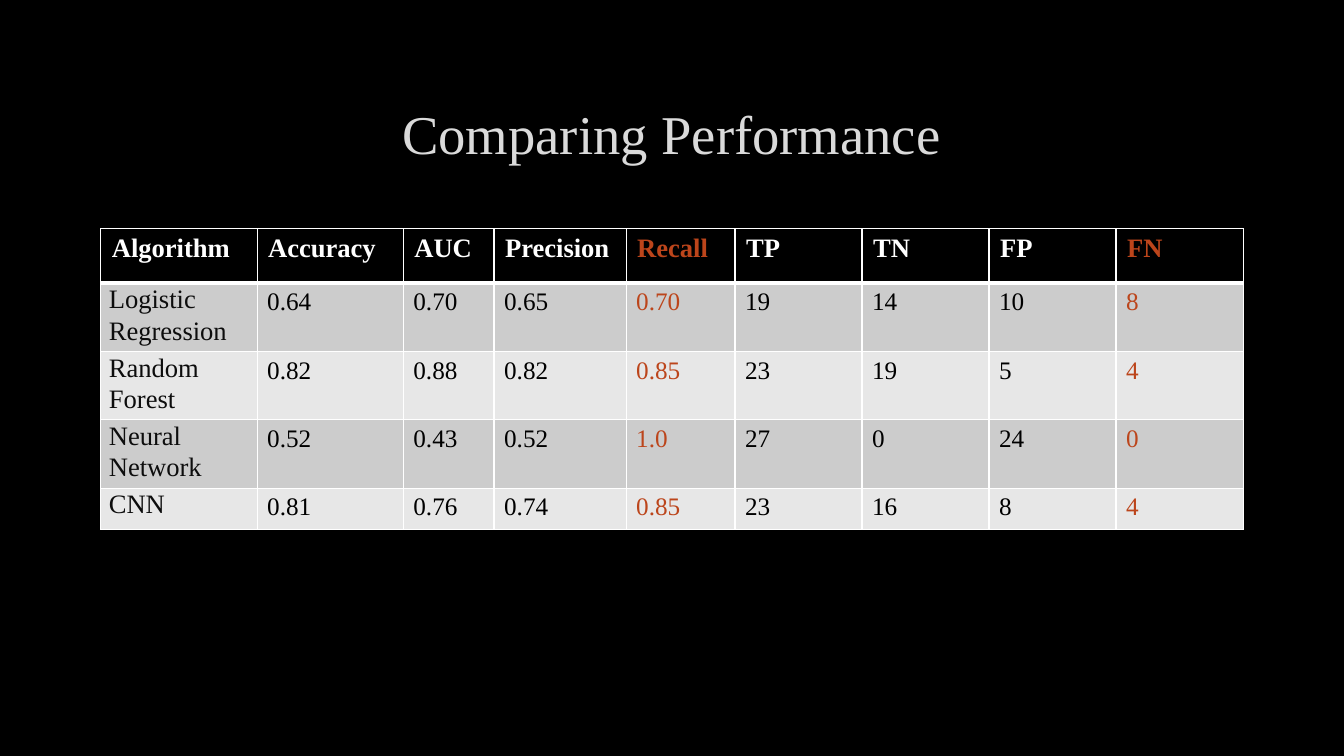
from dataclasses import dataclass

from lxml import etree
from pptx import Presentation
from pptx.dml.color import RGBColor
from pptx.enum.text import MSO_ANCHOR, PP_ALIGN
from pptx.oxml.ns import qn
from pptx.util import Inches, Pt

LEFT, CENTER, JUSTIFY = PP_ALIGN.LEFT, PP_ALIGN.CENTER, PP_ALIGN.JUSTIFY
MIDDLE = MSO_ANCHOR.MIDDLE


@dataclass
class Theme:
    font: str = "Times New Roman"
    black: str = "000000"
    white: str = "FFFFFF"
    title: str = "DADADA"
    label: str = "0D0D0D"
    accent: str = "BC451B"
    bands: tuple = ("CCCCCC", "E7E7E7")
    title_size: int = 39
    label_size: int = 19
    value_size: int = 18
    thin: int = 1
    thick: int = 3


def write(frame, words, *, font, size, color, bold=False, align=LEFT, lead=None):
    para = frame.paragraphs[0]
    para.alignment = align
    para.line_spacing = lead
    run = para.add_run()
    run.text = words
    run.font.name = font
    run.font.size = Pt(size)
    run.font.bold = bold
    run.font.color.rgb = RGBColor.from_string(color)


def paint(fill, color):
    fill.solid()
    fill.fore_color.rgb = RGBColor.from_string(color)


class Deck:
    def __init__(self, theme):
        self.theme = theme
        self.show = Presentation()
        self.show.slide_width = Inches(13.33)
        self.show.slide_height = Inches(7.5)
        self.slide = self.show.slides.add_slide(self.show.slide_layouts[6])
        paint(self.slide.background.fill, theme.black)

    def title(self, words, left, top, width, height):
        box = self.slide.shapes.add_textbox(
            Inches(left), Inches(top), Inches(width), Inches(height))
        frame = box.text_frame
        frame.word_wrap = True
        frame.vertical_anchor = MIDDLE
        write(frame, words, font=self.theme.font, size=self.theme.title_size,
              color=self.theme.title, align=CENTER, lead=0.9)

    def border(self, cell, row):
        props = cell._tc.get_or_add_tcPr()
        thick_side = {0: "lnB", 1: "lnT"}.get(row)
        for side in ("lnL", "lnR", "lnT", "lnB"):
            width = self.theme.thick if side == thick_side else self.theme.thin
            line = etree.SubElement(props, qn(f"a:{side}"), w=str(Pt(width)))
            fill = etree.SubElement(line, qn("a:solidFill"))
            etree.SubElement(fill, qn("a:srgbClr"), val=self.theme.white)

    def cell(self, cell, words, row, col, marked):
        theme = self.theme
        head, label = row == 0, col == 0
        if head:
            color, fill, pad = theme.white, theme.black, (0.11, 0.05)
        else:
            fill = theme.bands[(row - 1) % 2]
            color, pad = (theme.label, (0.08, 0)) if label else (theme.black, (0.1, 0.05))
        if marked:
            color = theme.accent
        cell.margin_left = cell.margin_right = Inches(pad[0])
        cell.margin_top = cell.margin_bottom = Inches(pad[1])
        self.border(cell, row)
        paint(cell.fill, fill)
        side = label and not head
        write(cell.text_frame, words, font=theme.font, color=color, bold=head,
              size=theme.label_size if head or label else theme.value_size,
              align=JUSTIFY if side else LEFT, lead=1.07 if side else None)

    def table(self, data, left, top, widths, heights, marks):
        table = self.slide.shapes.add_table(
            len(data), len(widths), Inches(left), Inches(top),
            Inches(sum(widths)), Inches(sum(heights))).table
        for column, width in zip(table.columns, widths):
            column.width = Inches(width)
        for row, height in zip(table.rows, heights):
            row.height = Inches(height)
        for r, record in enumerate(data):
            for c, words in enumerate(record):
                self.cell(table.cell(r, c), words, r, c, data[0][c] in marks)


def main():
    scores = [
        ["Algorithm", "Accuracy", "AUC", "Precision", "Recall", "TP", "TN", "FP", "FN"],
        ["Logistic Regression", "0.64", "0.70", "0.65", "0.70", "19", "14", "10", "8"],
        ["Random Forest", "0.82", "0.88", "0.82", "0.85", "23", "19", "5", "4"],
        ["Neural Network", "0.52", "0.43", "0.52", "1.0", "27", "0", "24", "0"],
        ["CNN", "0.81", "0.76", "0.74", "0.85", "23", "16", "8", "4"],
    ]
    deck = Deck(Theme())
    deck.title("Comparing Performance", 1, 0.67, 11.32, 1.38)
    deck.table(scores, 1, 2.27, [1.55, 1.45, 0.9, 1.31, 1.08] + [1.26] * 4,
               [0.54] + [0.41] * 4, marks=("Recall", "FN"))
    deck.show.save("out.pptx")


if __name__ == "__main__":
    main()
